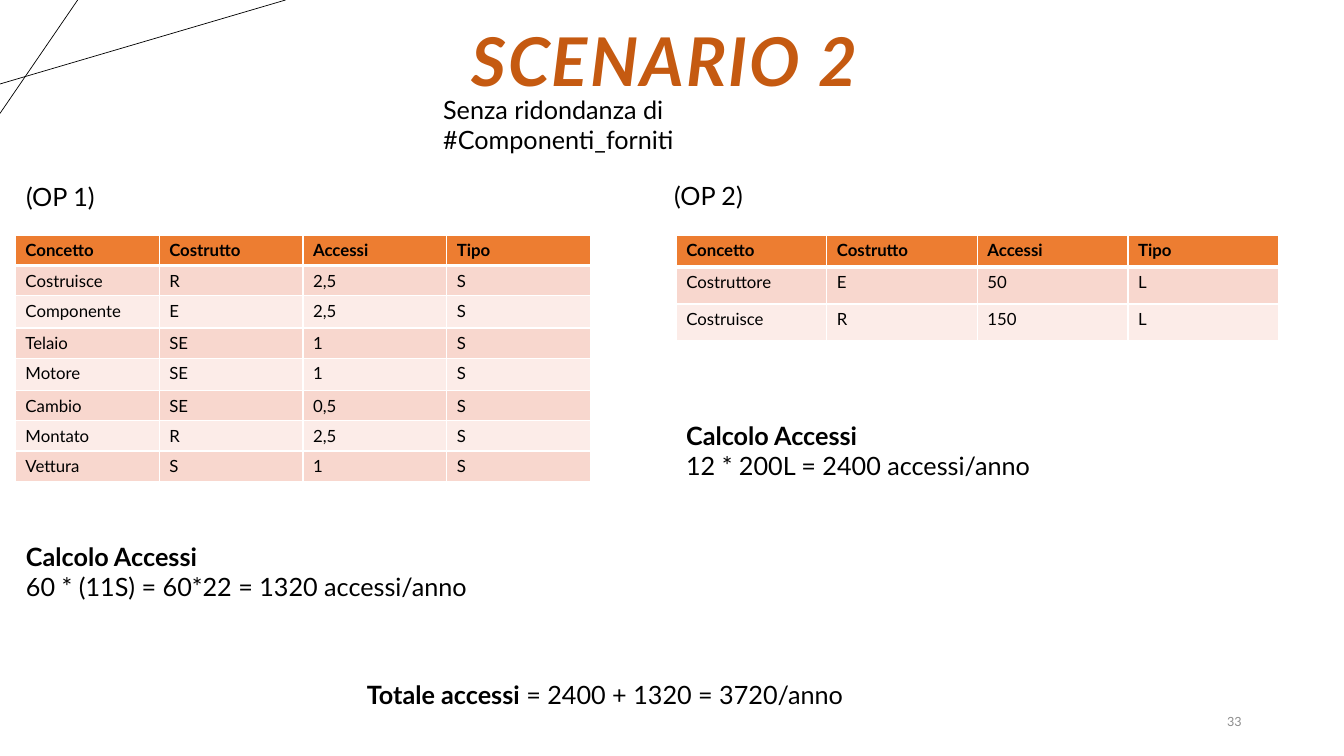
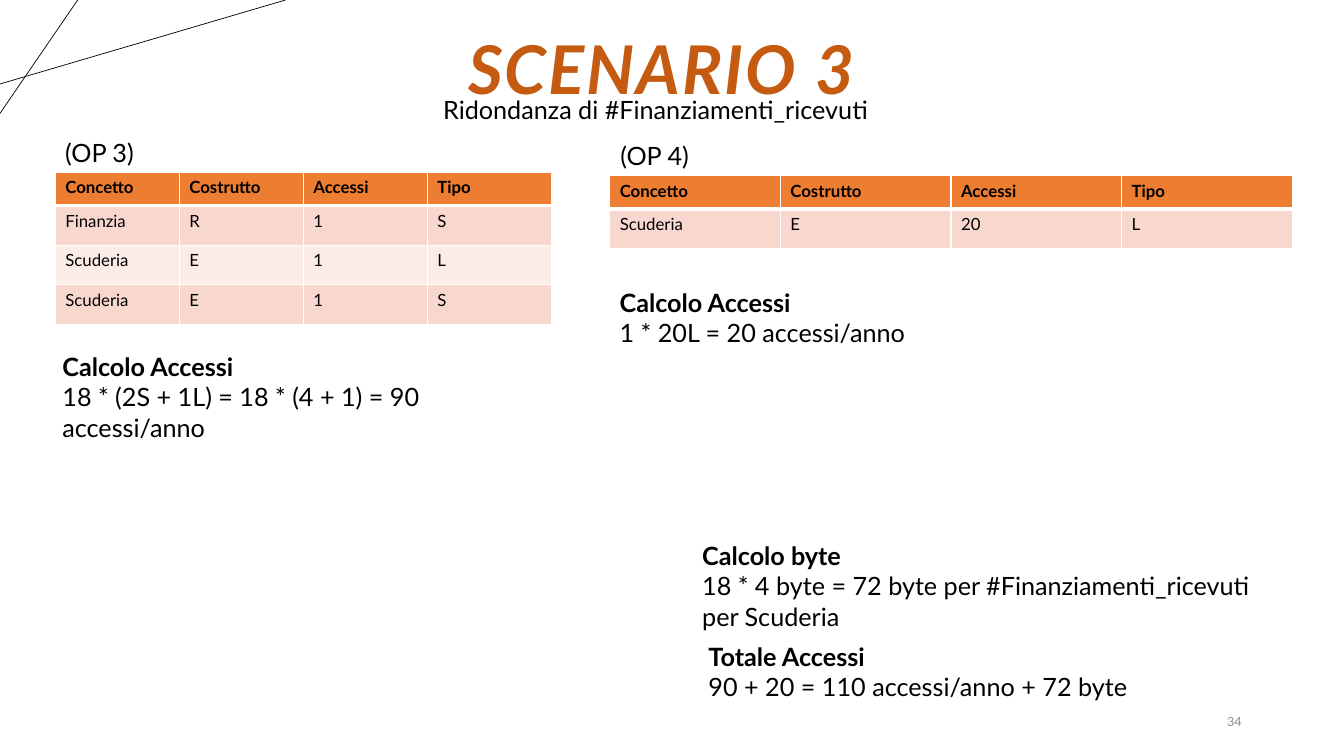
import pptx
import pptx.dml.color
import pptx.enum.shapes
import pptx.enum.text
import pptx.oxml.ns
import pptx.util
from lxml import etree

Pt = pptx.util.Pt
ALIGN = pptx.enum.text.PP_ALIGN
qn = pptx.oxml.ns.qn

FONT = "Lato"
BLACK, WHITE, GREY = "000000", "FFFFFF", "8C8C8C"
RUST, ORANGE = "C55A11", "ED7D31"
BANDS = ["F8D7CE", "FCECE8"]
HEADS = ["Concetto", "Costrutto", "Accessi", "Tipo"]
RAYS = [(0, 60, 204, 0), (55.5, 0, 0, 81)]
COUNT = "Calcolo Accessi"


def style(font, size, color, bold=False):
    font.name, font.size, font.bold = FONT, Pt(size), bold
    font.color.rgb = pptx.dml.color.RGBColor.from_string(color)


def write(slide, place, lines, size=18, color=BLACK, align=ALIGN.LEFT, middle=False):
    """Add a text box; with several lines, the first one is a bold heading."""
    frame = slide.shapes.add_textbox(*map(Pt, place)).text_frame
    frame.word_wrap = True
    if middle:
        frame.vertical_anchor = pptx.enum.text.MSO_ANCHOR.MIDDLE
    frame.text = "\n".join(lines)
    for i, para in enumerate(frame.paragraphs):
        para.alignment = align
        style(para.font, size, color, i == 0 and len(lines) > 1)
    return frame.paragraphs[0]


# Table: left, top, column width, row heights, body rows
pages = [
    {
        "title": "SCENARIO 2", "spot": (60.5, 16.5, 829, 59), "number": "33",
        "topic": "Senza ridondanza di #Componenti_forniti",
        "labels": [((11.5, 126, 290, 29), "(OP 1)"), ((474.5, 125.5, 290, 29), "(OP 2)")],
        "tables": [
            (11, 168, 102.75, [21.6, 21.6, 23, 21.6, 23, 21.6, 21.6, 21.6], [
                ["Costruisce", "R", "2,5", "S"],
                ["Componente", "E", "2,5", "S"],
                ["Telaio", "SE", "1", "S"],
                ["Motore", "SE", "1", "S"],
                ["Cambio", "SE", "0,5", "S"],
                ["Montato", "R", "2,5", "S"],
                ["Vettura", "S", "1", "S"],
            ]),
            (483, 168, 107.6, [22.8, 26.4, 26.4], [
                ["Costruttore", "E", "50", "L"],
                ["Costruisce", "R", "150", "L"],
            ]),
        ],
        "notes": [
            ((11.5, 383, 678, 51), [COUNT, "60 * (11S) = 60*22 = 1320 accessi/anno"]),
            ((483, 296.5, 408, 51), [COUNT, "12 * 200L = 2400 accessi/anno"]),
        ],
        "total": " = 2400 + 1320 = 3720/anno",
    },
    {
        "title": "SCENARIO 3", "spot": (317, 21.5, 311, 60.5), "number": "34",
        "topic": "Ridondanza di #Finanziamenti_ricevuti",
        "labels": [((39.5, 94.5, 290, 29), "(OP 3)"), ((436, 96.5, 290, 29), "(OP 4)")],
        "tables": [
            (39.5, 123, 88.6, [23.8, 28.3, 28.3, 28.3], [
                ["Finanzia", "R", "1", "S"],
                ["Scuderia", "E", "1", "L"],
                ["Scuderia", "E", "1", "S"],
            ]),
            (435.5, 125.5, 121.9, [23.8, 28.3], [["Scuderia", "E", "20", "L"]]),
        ],
        "notes": [
            ((37.5, 247.5, 357, 138), [COUNT, "18 * (2S + 1L) = 18 * (4 + 1) = 90 accessi/anno"]),
            ((435.5, 201.5, 500, 51), [COUNT, "1 * 20L = 20 accessi/anno"]),
            ((494.5, 382.5, 432, 73),
             ["Calcolo byte", "18 * 4 byte = 72 byte per #Finanziamenti_ricevuti per Scuderia"]),
            ((499, 454.5, 374, 51), ["Totale Accessi", "90 + 20 = 110 accessi/anno + 72 byte"]),
        ],
    },
]

deck = pptx.Presentation()
deck.slide_width, deck.slide_height = Pt(960), Pt(540)

for page in pages:
    slide = deck.slides.add_slide(deck.slide_layouts[6])

    for ray in RAYS:
        line = slide.shapes.add_connector(
            pptx.enum.shapes.MSO_CONNECTOR.STRAIGHT, *map(Pt, ray))
        line.line.width = Pt(0.5)
        line.line.color.rgb = pptx.dml.color.RGBColor.from_string(BLACK)
        etree.SubElement(line._element.spPr, qn("a:effectLst"))

    title = write(slide, page["spot"], [page["title"]], 48, RUST, ALIGN.CENTER, True)
    title.line_spacing = 0.9
    title.font.bold = title.font.italic = True
    title.runs[0].font._element.set("spc", "150")
    write(slide, (678, 500.5, 216, 29), [page["number"]], 9, GREY, ALIGN.RIGHT, True)
    write(slide, (309.5, 63.5, 340.5, 29), [page["topic"]])

    for place, label in page["labels"]:
        write(slide, place, [label])

    for left, top, wide, highs, body in page["tables"]:
        rows = [HEADS] + body
        table = slide.shapes.add_table(
            len(rows), len(HEADS), Pt(left), Pt(top),
            Pt(wide * len(HEADS)), Pt(sum(highs))).table
        table.first_row = table.horz_banding = False
        for col in table.columns:
            col.width = Pt(wide)
        for r, (high, row) in enumerate(zip(highs, rows)):
            table.rows[r].height = Pt(high)
            for c, text in enumerate(row):
                cell = table.cell(r, c)
                cell.text = text
                style(cell.text_frame.paragraphs[0].font, 12, BLACK, r == 0)
                props = cell._tc.get_or_add_tcPr()
                for side in "LRTB":
                    thick = (r, side) in [(0, "B"), (1, "T")]
                    edge = etree.SubElement(
                        props, qn("a:ln" + side), w=str(Pt(3 if thick else 1)))
                    fill = etree.SubElement(edge, qn("a:solidFill"))
                    etree.SubElement(fill, qn("a:srgbClr"), val=WHITE)
                cell.fill.solid()
                cell.fill.fore_color.rgb = pptx.dml.color.RGBColor.from_string(
                    BANDS[(r - 1) % 2] if r else ORANGE)

    for place, lines in page["notes"]:
        write(slide, place, lines)

    if "total" in page:
        total = write(slide, (255, 481.5, 678, 29), ["Totale accessi"])
        total.runs[0].font.bold = True
        total.add_run().text = page["total"]

deck.save("out.pptx")
